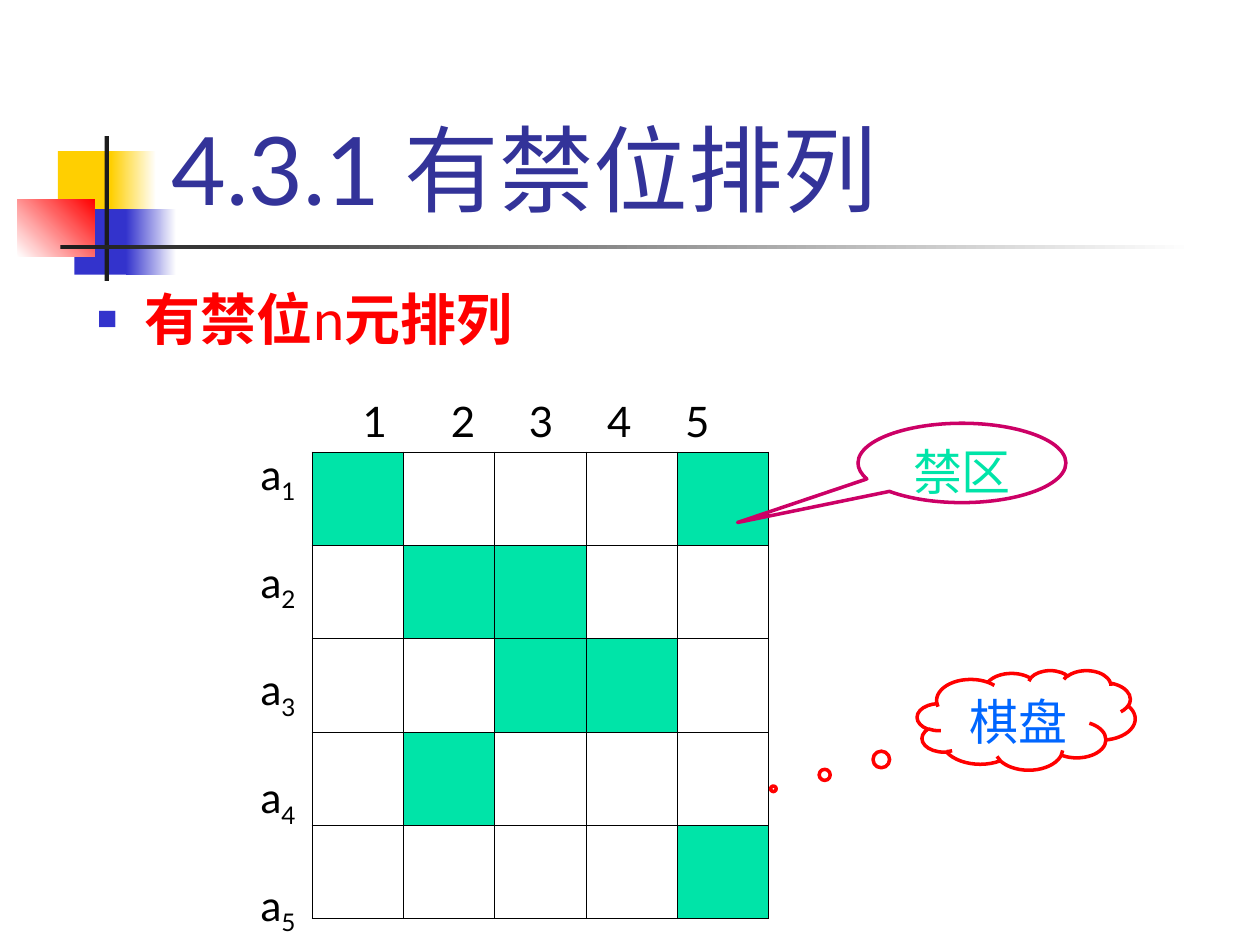
from dataclasses import dataclass

import lxml.etree
import pptx
import pptx.dml.color
import pptx.enum.shapes
import pptx.enum.text
import pptx.oxml.ns
import pptx.util

GRID_COLUMNS, GRID_ROWS = 100, 75
FONT = "Lato"
COLORS = {
    "yellow": "FFCF01", "blue": "3333CC", "red": "FF0000", "dark": "1C1C1C",
    "white": "FFFFFF", "title": "333399", "black": "000000",
    "green": "00E4A8", "pink": "CC0066", "azure": "0066FF",
}
BOARD = ["X...X", ".XX..", "..XX.", ".X...", "....X"]
THIN, THICK = 0.45, 1.08

deck = pptx.Presentation()
deck.slide_width = pptx.util.Inches(10)
deck.slide_height = pptx.util.Inches(7.5)


@dataclass
class Area:
    column: float
    row: float
    columns: float
    rows: float

    def lengths(self) -> list:
        across, down = deck.slide_width / GRID_COLUMNS, deck.slide_height / GRID_ROWS
        return [round(self.column * across), round(self.row * down),
                round(self.columns * across), round(self.rows * down)]


@dataclass
class Band:
    area: Area
    start: str
    end: str = ""
    angle: int = 0


@dataclass
class Callout:
    area: Area
    shape: pptx.enum.shapes.MSO_SHAPE
    pointer: tuple
    outline: str
    text: str
    color: str


BANDS = [
    Band(Area(4.6, 12, 4.8, 5.2), "yellow"),
    Band(Area(8.8, 12, 3.6, 5.2), "yellow", "white"),
    Band(Area(5.9, 16.6, 4.6, 5.2), "blue"),
    Band(Area(10, 16.6, 4, 5.2), "blue", "white"),
    Band(Area(1.4, 15.8, 6.1, 4.6), "white", "red", 45),
    Band(Area(8.3, 10.8, 0.35, 11.5), "dark"),
    Band(Area(4.8, 19.45, 90, 0.35), "dark", "white"),
]
CALLOUTS = [
    Callout(Area(68.1, 33.6, 16.5, 6.3), pptx.enum.shapes.MSO_SHAPE.OVAL_CALLOUT,
            (-1.08, 0.75), "pink", "禁区", "green"),
    Callout(Area(72.8, 53.2, 17.3, 7.9), pptx.enum.shapes.MSO_SHAPE.CLOUD_CALLOUT,
            (-1.16, 0.69), "red", "棋盘", "azure"),
]


def rgb(name: str) -> pptx.dml.color.RGBColor:
    return pptx.dml.color.RGBColor.from_string(COLORS[name])


def add_element(parent, tag: str, **attributes: str):
    return lxml.etree.SubElement(parent, pptx.oxml.ns.qn(tag), attributes)


def place(box, area: Area) -> None:
    box.left, box.top, box.width, box.height = area.lengths()


def add_span(para, text: str, size: float, color: str, bold: bool = False):
    span = para.add_run()
    span.text = text
    span.font.name = FONT
    span.font.size = pptx.util.Pt(size)
    span.font.bold = bold
    span.font.color.rgb = rgb(color)
    return span


def draw_band(page, band: Band) -> None:
    box = page.shapes.add_shape(pptx.enum.shapes.MSO_SHAPE.RECTANGLE, *band.area.lengths())
    box.shadow.inherit = False
    box.line.fill.background()
    if band.end:
        box.fill.gradient()
        box.fill.gradient_angle = band.angle
        for stop, color in zip(box.fill.gradient_stops, (band.start, band.end)):
            stop.color.rgb = rgb(color)
    else:
        box.fill.solid()
        box.fill.fore_color.rgb = rgb(band.start)


def fill_placeholders(page) -> None:
    title, body = page.placeholders
    place(title, Area(12.6, 2.3, 85.2, 16))
    place(body, Area(6.7, 22.1, 91.4, 52.9))
    for box in (title, body):
        box.text_frame.auto_size = pptx.enum.text.MSO_AUTO_SIZE.NONE
    title.text_frame.vertical_anchor = pptx.enum.text.MSO_ANCHOR.BOTTOM
    para = title.text_frame.paragraphs[0]
    para.alignment = pptx.enum.text.PP_ALIGN.LEFT
    add_span(para, "4.3.1 有禁位排列", 54, "title")

    para = body.text_frame.paragraphs[0]
    para.space_before = pptx.util.Pt(0)
    settings = para._p.get_or_add_pPr()
    settings.set("marL", str(pptx.util.Inches(0.38)))
    settings.set("indent", str(-pptx.util.Inches(0.38)))
    tint = add_element(settings, "a:buClr")
    add_element(tint, "a:srgbClr", val=COLORS["blue"])
    add_element(settings, "a:buSzPct", val="60000")
    add_element(settings, "a:buChar", char="■")
    for text, bold in (("有禁位", True), ("n", False), ("元排列", True)):
        add_span(para, text, 32, "red", bold)


def draw_border(cell, side: str, width: float) -> None:
    line = add_element(cell._tc.get_or_add_tcPr(), f"a:ln{side}", w=str(pptx.util.Pt(width)))
    add_element(add_element(line, "a:solidFill"), "a:srgbClr", val=COLORS["black"])


def draw_board(page, area: Area) -> None:
    last = len(BOARD) - 1
    table = page.shapes.add_table(len(BOARD), len(BOARD), *area.lengths()).table
    table.first_row = table.horz_banding = False
    for row, marks in enumerate(BOARD):
        for column, mark in enumerate(marks):
            cell = table.cell(row, column)
            outer = {"L": column == 0, "R": column == last, "T": row == 0, "B": row == last}
            for side, on_edge in outer.items():
                draw_border(cell, side, THICK if on_edge else THIN)
            if mark == "X":
                cell.fill.solid()
                cell.fill.fore_color.rgb = rgb("green")
            else:
                cell.fill.background()


def label_columns(page, area: Area) -> None:
    box = page.shapes.add_textbox(*area.lengths())
    box.text_frame.word_wrap = True
    para = box.text_frame.paragraphs[0]
    tabs = add_element(para._p.get_or_add_pPr(), "a:tabLst")
    for index in range(len(BOARD) - 1):
        position = pptx.util.Inches(0.7 + 0.62 * index)
        add_element(tabs, "a:tab", pos=str(position), algn="l")
    add_span(para, "\t".join(str(index + 1) for index in range(len(BOARD))), 24, "black")


def label_rows(page, area: Area) -> None:
    box = page.shapes.add_textbox(*area.lengths())
    frame = box.text_frame
    frame.word_wrap = False
    for index in range(len(BOARD)):
        para = frame.add_paragraph() if index else frame.paragraphs[0]
        para.space_before = pptx.util.Pt(28.8 if index else 0)
        add_span(para, "a", 24, "black")
        span = add_span(para, str(index + 1), 24, "black")
        span.font._element.set("baseline", "-25000")


def draw_callout(page, callout: Callout) -> None:
    box = page.shapes.add_shape(callout.shape, *callout.area.lengths())
    box.shadow.inherit = False
    for index, value in enumerate(callout.pointer):
        box.adjustments[index] = value
    box.fill.background()
    box.line.color.rgb = rgb(callout.outline)
    box.line.width = pptx.util.Pt(2)
    box.text_frame.vertical_anchor = pptx.enum.text.MSO_ANCHOR.TOP
    para = box.text_frame.paragraphs[0]
    para.alignment = pptx.enum.text.PP_ALIGN.CENTER
    add_span(para, callout.text, 28, callout.color)


def main() -> None:
    page = deck.slides.add_slide(deck.slide_layouts[1])
    for band in BANDS:
        draw_band(page, band)
    fill_placeholders(page)
    draw_board(page, Area(24.8, 35.9, 36.2, 37))
    label_columns(page, Area(27.8, 30.9, 29.7, 5))
    label_rows(page, Area(19.7, 35.1, 5, 39.8))
    for callout in CALLOUTS:
        draw_callout(page, callout)
    deck.save("out.pptx")


if __name__ == "__main__":
    main()
